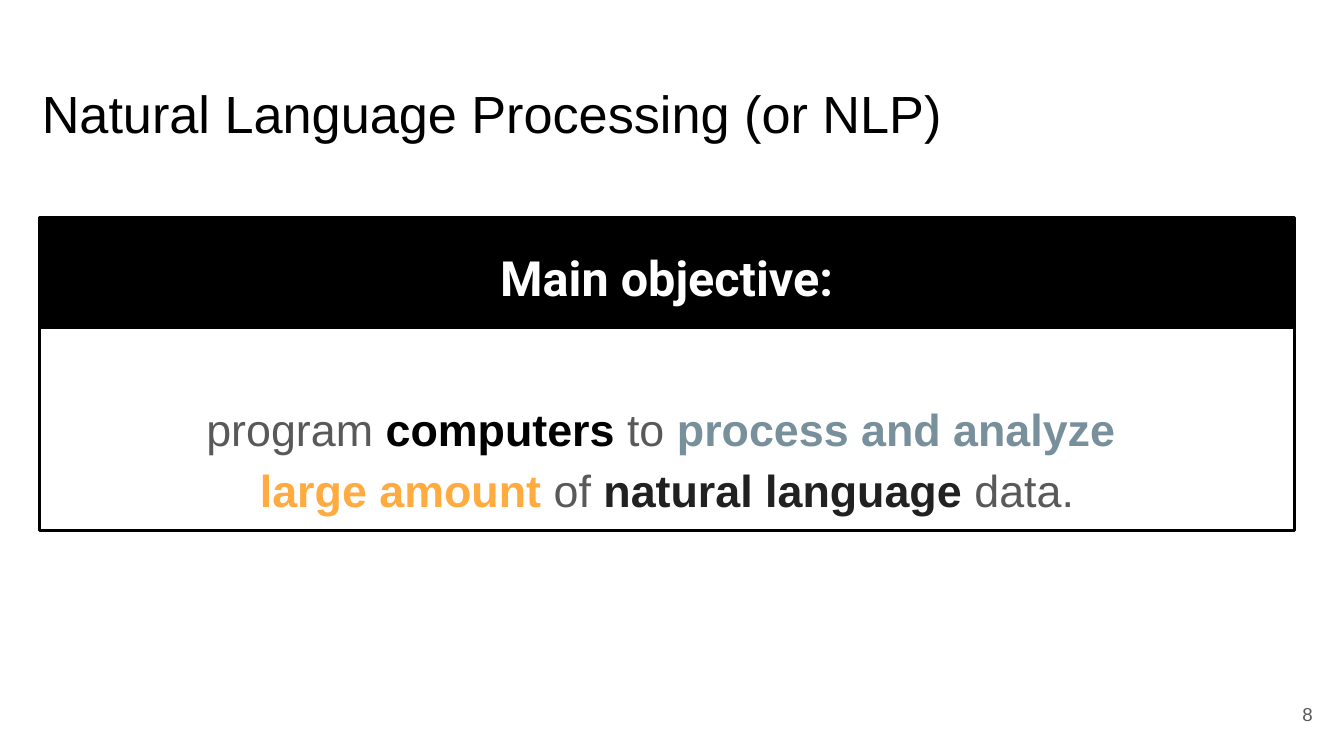
"""Build the slide that states the main objective of natural language processing."""
import pptx
import pptx.dml.color
import pptx.enum.shapes
import pptx.enum.text
import pptx.util

WIDTH = pptx.util.Inches(10)
HEIGHT = WIDTH * 9 // 16
PANEL_LEFT, PANEL_WIDTH = 2.93, 93.4
HEADER_TOP, HEADER_HEIGHT, OBJECTIVE_HEIGHT = 28.8, 14.55, 26.8
ALIGN = pptx.enum.text.PP_ALIGN
ANCHOR = pptx.enum.text.MSO_ANCHOR
GREY, BLACK, WHITE = "595959", "000000", "FFFFFF"


def color(value):
    """Turn a hex string into a colour."""
    return pptx.dml.color.RGBColor.from_string(value)


def place(area):
    """Turn percentages of the slide's size into lengths."""
    return [round(share * full / 100)
            for share, full in zip(area, (WIDTH, HEIGHT) * 2)]


def write(shape, lines, size, name="Arial", anchor=ANCHOR.TOP, **paragraph_format):
    """Write lines of (text, colour, bold) runs as one paragraph."""
    frame = shape.text_frame
    inset = pptx.util.Inches(0.1)
    frame_format = {"word_wrap": True, "vertical_anchor": anchor,
                    "margin_left": inset, "margin_right": inset,
                    "margin_top": inset, "margin_bottom": inset}
    for key, value in frame_format.items():
        setattr(frame, key, value)
    paragraph = frame.paragraphs[0]
    for key, value in paragraph_format.items():
        setattr(paragraph, key, value)
    for index, line in enumerate(lines):
        if index:
            paragraph.add_line_break()
        for text, font_color, bold in line:
            run = paragraph.add_run()
            run.text = text
            font_format = {"size": pptx.util.Pt(size), "name": name, "bold": bold}
            for key, value in font_format.items():
                setattr(run.font, key, value)
            run.font.color.rgb = color(font_color)


def add_label(slide, area, text, font_color, size, **text_format):
    """Add a text box with a single plain run."""
    shape = slide.shapes.add_textbox(*place(area))
    write(shape, [[(text, font_color, False)]], size, **text_format)


def add_panel(slide, top, height, lines, size, fill=None, **text_format):
    """Add a black-outlined rectangle with centred text."""
    shape = slide.shapes.add_shape(
        pptx.enum.shapes.MSO_SHAPE.RECTANGLE,
        *place((PANEL_LEFT, top, PANEL_WIDTH, height)))
    shape.shadow.inherit = False
    if fill:
        shape.fill.solid()
        shape.fill.fore_color.rgb = color(fill)
    else:
        shape.fill.background()
    shape.line.color.rgb = color(BLACK)
    shape.line.width = pptx.util.Pt(1.5)
    write(shape, lines, size, alignment=ALIGN.CENTER, line_spacing=1.15,
          **text_format)


def main():
    """Build and save the slide."""
    presentation = pptx.Presentation()
    presentation.slide_width = WIDTH
    presentation.slide_height = HEIGHT
    slide = presentation.slides.add_slide(presentation.slide_layouts[6])

    add_label(slide, (2.13, 9, 78, 11.2),
              "Natural Language Processing (or NLP)", BLACK, 28)
    objective = [
        [("program ", GREY, False), ("computers", BLACK, True),
         (" to ", GREY, False), ("process and analyze ", "78909C", True)],
        [("large amount", "FFAB40", True), (" of ", GREY, False),
         ("natural language", "212121", True), (" data.", GREY, False)],
    ]
    add_panel(slide, HEADER_TOP + HEADER_HEIGHT, OBJECTIVE_HEIGHT, objective, 24,
              anchor=ANCHOR.BOTTOM, space_after=pptx.util.Pt(16))
    add_label(slide, (92.66, 90.67, 6, 7.65), "8", GREY, 10,
              anchor=ANCHOR.MIDDLE, alignment=ALIGN.RIGHT)
    add_panel(slide, HEADER_TOP, HEADER_HEIGHT,
              [[("Main objective:", WHITE, True)]], 26, fill=BLACK,
              name="Roboto", anchor=ANCHOR.MIDDLE)
    presentation.save("out.pptx")


if __name__ == "__main__":
    main()
